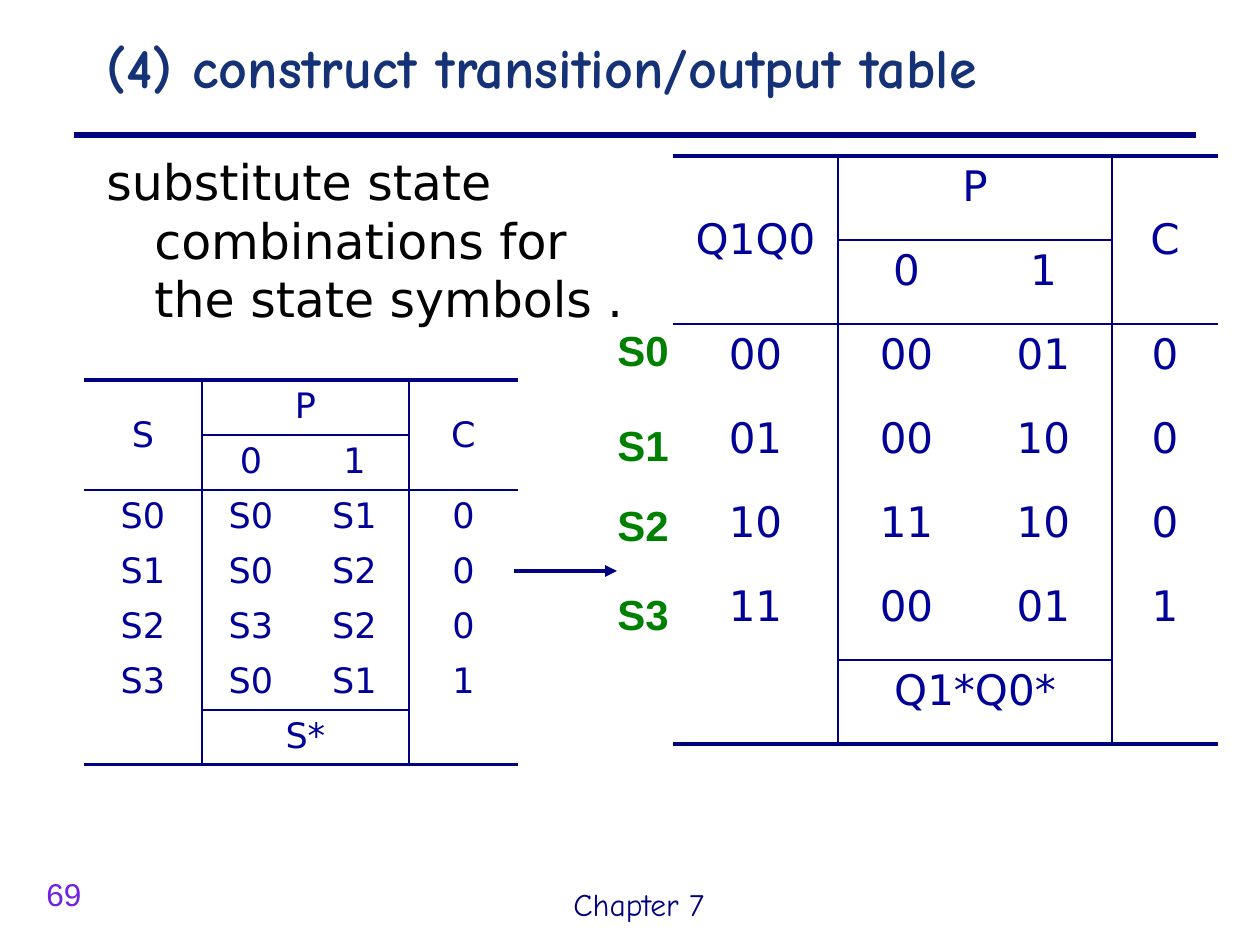
"""Build the slide that turns a state table into a transition/output table."""
from dataclasses import dataclass

import pptx
import pptx.dml.color
import pptx.enum.shapes
import pptx.enum.text
import pptx.oxml
import pptx.oxml.ns
import pptx.util

EMU_PER_PX = 914400 / 126
COLORS = {
    "navy": "000080",
    "title": "153276",
    "number": "6F20E4",
    "body": "000000",
    "cell": "000099",
    "state": "008000",
}
THIN, THICK = 1, 2.25


@dataclass(frozen=True)
class Box:
    left: int
    top: int
    width: int
    height: int


@dataclass(frozen=True)
class StateTable:
    left: int
    top: int
    columns: tuple[int, ...]
    row_height: int
    size: int
    state: str
    next_state: str
    rows: tuple[tuple[str, ...], ...]


@dataclass(frozen=True)
class Line:
    start: int
    end: int
    y: int
    width: float
    arrow: bool = False


@dataclass(frozen=True)
class StateLabel:
    text: str
    top: int


TABLES = (
    StateTable(673, 156, (165, 137, 137, 106), 84, 24, "Q1Q0", "Q1*Q0*", (
        ("00", "00", "01", "0"),
        ("01", "00", "10", "0"),
        ("10", "11", "10", "0"),
        ("11", "00", "01", "1"),
    )),
    StateTable(84, 380, (118, 98, 109, 109), 55, 20, "S", "S*", (
        ("S0", "S0", "S1", "0"),
        ("S1", "S0", "S2", "0"),
        ("S2", "S3", "S2", "0"),
        ("S3", "S0", "S1", "1"),
    )),
)
LINES = (Line(74, 1196, 135, 3), Line(514, 617, 571, THICK, arrow=True))
LABELS = (
    StateLabel("S0", 318),
    StateLabel("S1", 413),
    StateLabel("S2", 493),
    StateLabel("S3", 582),
)


def px(length: int) -> pptx.util.Emu:
    return pptx.util.Emu(round(length * EMU_PER_PX))


def rgb(name: str) -> pptx.dml.color.RGBColor:
    return pptx.dml.color.RGBColor.from_string(COLORS[name])


def write(frame, text: str, *, size: int, font: str, color: str,
          bold: bool = False, centered: bool = False, hanging: int = 0) -> None:
    frame.word_wrap = True
    paragraph = frame.paragraphs[0]
    if centered:
        paragraph.alignment = pptx.enum.text.PP_ALIGN.CENTER
    if hanging:
        properties = paragraph._p.get_or_add_pPr()
        properties.set("marL", str(px(hanging)))
        properties.set("indent", str(-px(hanging)))
    run = paragraph.add_run()
    run.text = text
    run.font.size = pptx.util.Pt(size)
    run.font.name = font
    run.font.bold = bold
    run.font.color.rgb = rgb(color)


def add_text(slide, box: Box, text: str, **text_format) -> None:
    shape = slide.shapes.add_textbox(
        px(box.left), px(box.top), px(box.width), px(box.height))
    write(shape.text_frame, text, **text_format)


def add_line(slide, line: Line) -> None:
    connector = slide.shapes.add_connector(
        pptx.enum.shapes.MSO_CONNECTOR.STRAIGHT,
        px(line.start), px(line.y), px(line.end), px(line.y))
    connector.line.color.rgb = rgb("navy")
    connector.line.width = pptx.util.Pt(line.width)
    if line.arrow:
        tail = pptx.oxml.parse_xml(
            f'<a:tailEnd {pptx.oxml.ns.nsdecls("a")} type="triangle"/>')
        connector.line._get_or_add_ln().append(tail)
    effects = pptx.oxml.parse_xml(f'<a:effectLst {pptx.oxml.ns.nsdecls("a")}/>')
    connector._element.spPr.append(effects)


def horizontal_rule(edge: int, column: int) -> float:
    if edge in (0, 7):
        return THICK
    inner = column in (1, 2)
    return THIN if edge == 2 or (inner and edge in (1, 6)) else 0


def vertical_rule(edge: int) -> float:
    return THIN if edge in (1, 3) else 0


def set_borders(cell, row: int, column: int) -> None:
    widths = {
        "lnL": vertical_rule(column),
        "lnR": vertical_rule(column + 1),
        "lnT": horizontal_rule(row, column),
        "lnB": horizontal_rule(row + 1, column),
    }
    properties = cell._tc.get_or_add_tcPr()
    for tag, width in widths.items():
        fill = (f'<a:solidFill><a:srgbClr val="{COLORS["navy"]}"/></a:solidFill>'
                if width else "<a:noFill/>")
        properties.append(pptx.oxml.parse_xml(
            f'<a:{tag} {pptx.oxml.ns.nsdecls("a")} w="{pptx.util.Pt(width)}">'
            f"{fill}</a:{tag}>"))


def add_state_table(slide, data: StateTable) -> None:
    contents = (
        (data.state, "P", "", "C"),
        ("", "0", "1", ""),
        *data.rows,
        ("", data.next_state, "", ""),
    )
    table = slide.shapes.add_table(
        len(contents), len(data.columns), px(data.left), px(data.top),
        px(sum(data.columns)), px(data.row_height * len(contents))).table
    table.first_row = False
    table.horz_banding = False
    for column, width in zip(table.columns, data.columns):
        column.width = px(width)
    for row_index, values in enumerate(contents):
        table.rows[row_index].height = px(data.row_height)
        for column_index, text in enumerate(values):
            cell = table.cell(row_index, column_index)
            set_borders(cell, row_index, column_index)
            cell.fill.background()
            if text:
                write(cell.text_frame, text, size=data.size,
                      font="DejaVu Sans", color="cell", centered=True)
    for row in (0, len(contents) - 1):
        table.cell(row, 1).merge(table.cell(row, 2))
    for column in (0, 3):
        heading = table.cell(0, column)
        heading.merge(table.cell(1, column))
        heading.vertical_anchor = pptx.enum.text.MSO_ANCHOR.MIDDLE


def main() -> None:
    presentation = pptx.Presentation()
    presentation.slide_width = px(1260)
    presentation.slide_height = px(945)
    slide = presentation.slides.add_slide(presentation.slide_layouts[6])
    add_text(slide, Box(561, 879, 179, 50), "Chapter 7",
             size=18, font="Comic Neue", color="navy")
    add_text(slide, Box(34, 869, 89, 50), "69",
             size=18, font="Arial", color="number")
    add_text(slide, Box(94, 26, 1101, 100), "(4) construct transition/output table",
             size=32, font="Comic Neue", color="title", bold=True)
    add_text(slide, Box(94, 145, 546, 205),
             "substitute state combinations for the state symbols .",
             size=28, font="DejaVu Sans", color="body", hanging=48)
    for line in LINES:
        add_line(slide, line)
    for table in TABLES:
        add_state_table(slide, table)
    for label in LABELS:
        add_text(slide, Box(605, label.top, 89, 63), label.text,
                 size=24, font="Arial", color="state", bold=True)
    presentation.save("out.pptx")


if __name__ == "__main__":
    main()
